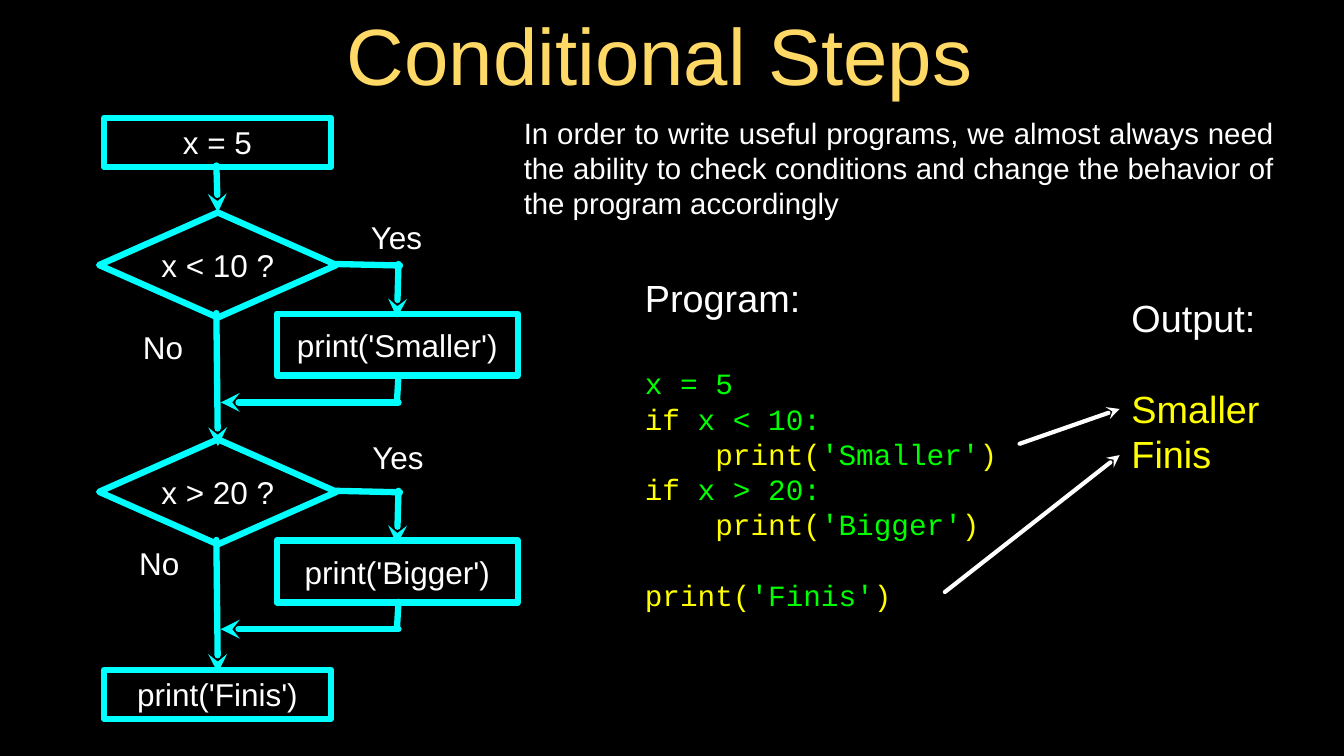
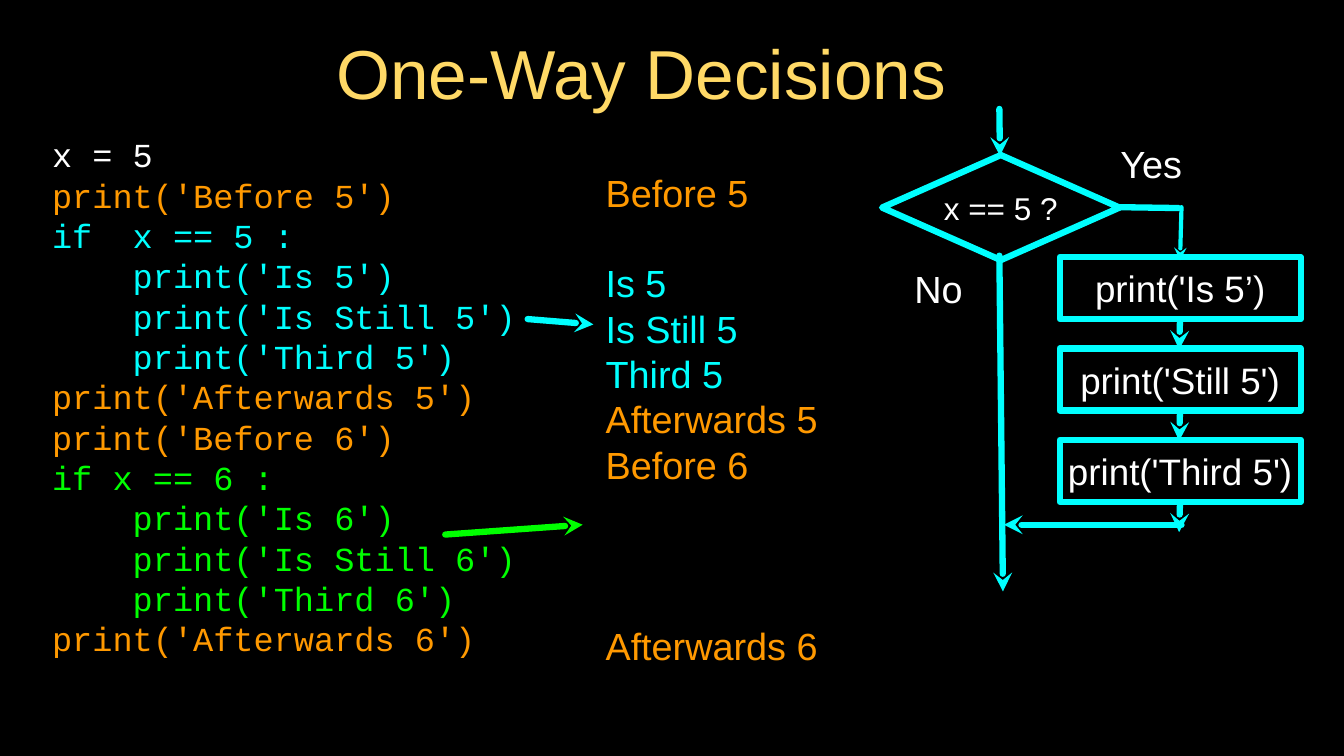
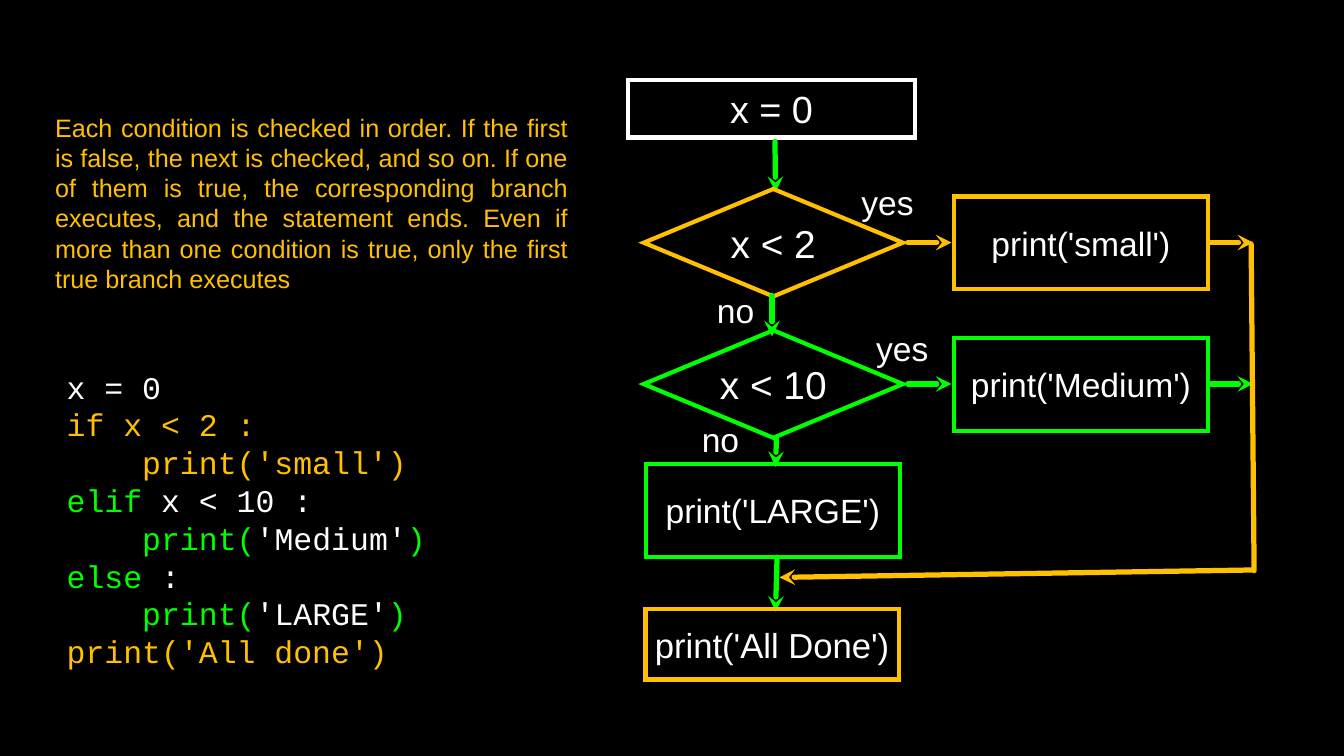
from lxml.etree import SubElement
from pptx import Presentation
from pptx.dml.color import RGBColor
from pptx.enum.shapes import MSO_CONNECTOR, MSO_SHAPE
from pptx.enum.text import MSO_ANCHOR, PP_ALIGN
from pptx.oxml.ns import qn
from pptx.util import Cm, Pt

COLORS = {
    "black": "000000", "white": "FFFFFF", "title": "FFD966", "cyan": "00FFFF",
    "green": "00FF00", "yellow": "FFFF00", "orange": "FF9900", "amber": "FFC000",
}
SANS, MONO = "Arial", "Courier New"
LINE_HEIGHT = 1.2
TITLE_ONLY, BLANK = 5, 6
RECT, DIAMOND = MSO_SHAPE.RECTANGLE, MSO_SHAPE.DIAMOND
CENTER, LEFT, JUSTIFY = PP_ALIGN.CENTER, PP_ALIGN.LEFT, PP_ALIGN.JUSTIFY


def rgb(name):
    return RGBColor.from_string(COLORS[name])


def write(tf, lines, size=30, font=SANS, color="white", align=CENTER,
          anchor=MSO_ANCHOR.MIDDLE, inset=(0, 0), before=()):
    """Fill a text frame. A line is a string or (text, colour) runs; None is a one-line gap.

    before holds lines of another size as (text, size) and goes first.
    """
    tf.word_wrap = True
    tf.vertical_anchor = anchor
    tf.margin_left = tf.margin_right = Cm(inset[0])
    tf.margin_top = tf.margin_bottom = Cm(inset[1])
    gap, p = 0, None
    for line, pts, face in [(t, s, SANS) for t, s in before] + [(t, size, font) for t in lines]:
        if line is None:
            gap += pts * LINE_HEIGHT
            continue
        p = tf.paragraphs[0] if p is None else tf.add_paragraph()
        p.alignment = align
        p.line_spacing = Pt(pts * LINE_HEIGHT)
        p.space_before, p.space_after, gap = Pt(gap), Pt(0), 0
        for text, tint in [(line, color)] if isinstance(line, str) else line:
            r = p.add_run()
            r.text = text
            r.font.size, r.font.name = Pt(pts), face
            r.font.color.rgb = rgb(tint)


def add_text(slide, box, lines, **fmt):
    sp = slide.shapes.add_textbox(*map(Cm, box))
    write(sp.text_frame, lines, **fmt)


def add_paragraph(slide, box, text, **fmt):
    add_text(slide, box, [text], align=JUSTIFY, anchor=MSO_ANCHOR.TOP, inset=(0.25, 0.13), **fmt)


def add_title(slide, box, text, size):
    sp = slide.shapes.title
    sp.left, sp.top, sp.width, sp.height = map(Cm, box)
    write(sp.text_frame, [text], size=size, color="title", inset=(0.1, 0.1))


def add_line(slide, start, end, color, width, arrow=True):
    """Draw a round-capped line with an optional arrowhead at its end."""
    c = slide.shapes.add_connector(MSO_CONNECTOR.STRAIGHT, *map(Cm, (*start, *end)))
    c.line.color.rgb, c.line.width = rgb(color), Pt(width)
    ln = c.line._get_or_add_ln()
    ln.set("cap", "rnd")
    SubElement(ln, qn("a:round"))
    if arrow:
        SubElement(ln, qn("a:tailEnd"), type="stealth")
    SubElement(c._element.spPr, qn("a:effectLst"))


class Flow:
    """A flowchart region whose parts are placed relative to its top left corner."""

    def __init__(self, slide, x, y, color="cyan", node_width=6, line_width=6, join="round"):
        self.slide, self.x, self.y, self.color = slide, x, y, color
        self.node_width, self.line_width, self.join = node_width, line_width, join

    def at(self, x, y):
        return self.x + x, self.y + y

    def node(self, kind, x, y, w, h, text, size=30, color=None):
        sp = self.slide.shapes.add_shape(kind, *map(Cm, (*self.at(x, y), w, h)))
        sp.shadow.inherit = False
        sp.fill.background()
        sp.line.color.rgb, sp.line.width = rgb(color or self.color), Pt(self.node_width)
        ln = sp.line._get_or_add_ln()
        if self.join == "round":
            SubElement(ln, qn("a:round"))
        else:
            SubElement(ln, qn("a:miter"), lim="800000")
        write(sp.text_frame, [text], size=size)

    def line(self, start, end, color=None, width=None, arrow=True):
        add_line(self.slide, self.at(*start), self.at(*end),
                 color or self.color, width or self.line_width, arrow)

    def label(self, x, y, w, h, text, size=30):
        add_text(self.slide, (*self.at(x, y), w, h), [text], size=size)


def decision(slide, x, y, question, action, yes_box, no_box):
    """One test with a single action on its yes branch, joining the main line again."""
    flow = Flow(slide, x, y)
    flow.node(DIAMOND, 0, 0, 7.98, 3.53, question)
    flow.node(RECT, 5.97, 3.4, 8.1, 2.08, action)
    flow.line((3.94, 3.38), (3.99, 7.85))
    flow.line((7.95, 1.73), (10.11, 1.78), arrow=False)
    flow.line((10.06, 1.73), (10.01, 3.53))
    flow.line((10.06, 5.46), (10.01, 6.32), arrow=False)
    flow.line((10.06, 6.38), (4.09, 6.38))
    flow.label(*yes_box, "Yes")
    flow.label(*no_box, "No")


def steps_flow(slide, x, y):
    flow = Flow(slide, x, y)
    flow.node(RECT, 0.17, 0, 7.62, 1.65, "x = 5")
    flow.line((3.94, 1.6), (3.99, 3.18))
    decision(slide, x, y + 3.18, "x < 10 ?", "print('Smaller')",
             (8.99, -0.05, 2.01, 1.73), (1.14, 3.53, 2.01, 1.96))
    decision(slide, x, y + 10.8, "x > 20 ?", "print('Bigger')",
             (9.04, -0.28, 2.01, 1.73), (1.02, 3.43, 2.01, 1.47))
    flow.node(RECT, 0.17, 18.54, 7.62, 1.65, "print('Finis')")


def one_way_flow(slide, x, y):
    flow = Flow(slide, x, y)
    flow.line((3.94, -1.55), (3.96, 0.03))
    flow.node(DIAMOND, 0, 0, 7.98, 3.53, "x == 5 ?")
    flow.line((3.94, 3.38), (4.06, 14.66))
    flow.line((7.95, 1.75), (9.96, 1.78), arrow=False)
    flow.line((10.06, 1.75), (10.01, 3.53), width=4)
    for i, text in enumerate(("print('Is 5’)", "print('Still 5')", "print('Third 5')")):
        top = 3.43 + 3.07 * i
        flow.node(RECT, 5.97, top, 8.1, 2.08, text, size=35)
        flow.line((10.01, top + 2.1), (9.98, top + 3.1))
    flow.line((10.06, 12.42), (4.09, 12.42))
    flow.label(7.49, -0.58, 3.1, 1.73, "Yes", size=36)
    flow.label(0.89, 3.61, 2.01, 1.73, "No", size=36)


def multi_way_flow(slide, x, y):
    flow = Flow(slide, x, y, color="green", node_width=4, line_width=5, join="miter")
    flow.node(RECT, 0, 0, 9.63, 1.93, "x = 0", size=36, color="white")
    flow.line((4.93, 2.06), (4.95, 3.76))
    branches = (("x < 2", "print('small')", "amber"), ("x < 10", "print('Medium')", "green"))
    for i, (question, action, color) in enumerate(branches):
        top = 3.66 + 4.75 * i
        mid = top + 1.8
        flow.node(DIAMOND, 0.52, top, 8.71, 3.61, question, size=37, color=color)
        flow.node(RECT, 10.96, top + 0.25, 8.51, 3.12, action, size=32, color=color)
        flow.line((9.39, mid), (10.86, mid), color)
        flow.line((19.55, mid), (21, mid), color)
    flow.line((4.83, 7.24), (4.83, 8.61))
    flow.line((4.98, 12.01), (4.95, 13))
    flow.node(RECT, 0.61, 12.9, 8.51, 3.12, "print('LARGE')", size=32)
    flow.line((5, 16.03), (4.95, 17.86))
    flow.node(RECT, 0.58, 17.78, 8.51, 2.36, "print('All Done')", size=33, color="amber")
    flow.line((20.93, 5.51), (21.03, 16.48), "amber", arrow=False)
    flow.line((20.98, 16.46), (5.08, 16.71), "amber")
    for left, top, width, text in ((7.75, 3.43, 1.93, "yes"), (8.13, 8.33, 2.16, "yes"),
                                   (2.95, 7.04, 1.32, "no"), (2.44, 11.38, 1.32, "no")):
        flow.label(left, top, width, 1.37, text, size=32)


def call(arg, name_color, arg_color, indent="    "):
    """Runs of a print call whose argument has its own colour."""
    return [(indent + "print(", name_color), (arg, arg_color), (")", name_color)]


def conditional_steps(prs):
    slide = prs.slides.add_slide(prs.slide_layouts[TITLE_ONLY])
    add_title(slide, (8.84, -0.1, 26.64, 3.78), "Conditional Steps", 76)
    add_paragraph(slide, (17.35, 3.73, 25.68, 3.84),
                  "In order to write useful programs, we almost always need the ability to check "
                  "conditions and change the behavior of the program accordingly", size=28)
    steps_flow(slide, 3.33, 3.96)
    program = [
        "x = 5",
        [("if ", "yellow"), ("x < 10:", "green")],
        call("'Smaller'", "yellow", "green"),
        [("if ", "yellow"), ("x > 20:", "green")],
        call("'Bigger'", "yellow", "green"),
        None,
        call("'Finis'", "yellow", "green", indent=""),
    ]
    add_text(slide, (21.67, 7.98, 12.6, 13.84), program, size=28, font=MONO, color="green",
             align=LEFT, before=[([("Program:", "white")], 36), (None, 36)])
    add_text(slide, (38.02, 9.91, 4.39, 6.07), [[("Output:", "white")], None, "Smaller", "Finis"],
             size=36, color="yellow", align=LEFT)
    add_line(slide, (34.26, 14.91), (37.62, 13.74), "white", 4)
    add_line(slide, (31.75, 19.89), (37.62, 15.29), "white", 4)


def one_way_decisions(prs):
    slide = prs.slides.add_slide(prs.slide_layouts[TITLE_ONLY])
    add_title(slide, (8.33, 0.94, 26.44, 2.97), "One-Way Decisions", 66)
    code = (
        ("white", "x = 5"),
        ("orange", "print('Before 5')"),
        ("cyan", "if  x == 5 :", "    print('Is 5')", "    print('Is Still 5')",
         "    print('Third 5')"),
        ("orange", "print('Afterwards 5')", "print('Before 6')"),
        ("green", "if x == 6 :", "    print('Is 6')", "    print('Is Still 6')",
         "    print('Third 6')"),
        ("orange", "print('Afterwards 6')"),
    )
    add_text(slide, (1.75, 4.29, 15.88, 18.06),
             [[(text, color)] for color, *block in code for text in block],
             size=32, font=MONO, align=LEFT)
    inside = [[(text, "cyan")] for text in ("Is 5", "Is Still 5", "Third 5")]
    add_text(slide, (20.35, 5.79, 7.85, 16.56),
             ["Before 5", None, *inside, "Afterwards 5", "Before 6", None, None, None,
              "Afterwards 6"], size=36, color="orange", align=LEFT)
    add_line(slide, (17.73, 10.72), (19.94, 10.9), "cyan", 6)
    add_line(slide, (14.96, 17.96), (19.58, 17.63), "green", 6)
    one_way_flow(slide, 29.64, 5.21)


def multi_way(prs):
    slide = prs.slides.add_slide(prs.slide_layouts[BLANK])
    add_paragraph(slide, (1.6, 3.63, 17.73, 6.4),
                  "Each condition is checked in order. If the first is false, the next is checked, "
                  "and so on. If one of them is true, the corresponding branch executes, and the "
                  "statement ends. Even if more than one condition is true, only the first true "
                  "branch executes", size=24, color="amber")
    code = [
        [("x = 0", "white")],
        "if x < 2 :",
        "    print('small')",
        [("elif", "green"), (" x < 10 :", "white")],
        call("'Medium'", "green", "white"),
        [("else", "green"), (" :", "white")],
        call("'LARGE'", "green", "white"),
        "print('All done')",
    ]
    add_text(slide, (2.24, 11.23, 14.17, 12.4), code, size=30, font=MONO, color="amber", align=LEFT)
    multi_way_flow(slide, 21.11, 2.69)


def main():
    prs = Presentation()
    prs.slide_width, prs.slide_height = Cm(45.16), Cm(25.4)
    fill = prs.slide_master.background.fill
    fill.solid()
    fill.fore_color.rgb = rgb("black")
    conditional_steps(prs)
    one_way_decisions(prs)
    multi_way(prs)
    prs.save("out.pptx")


if __name__ == "__main__":
    main()
